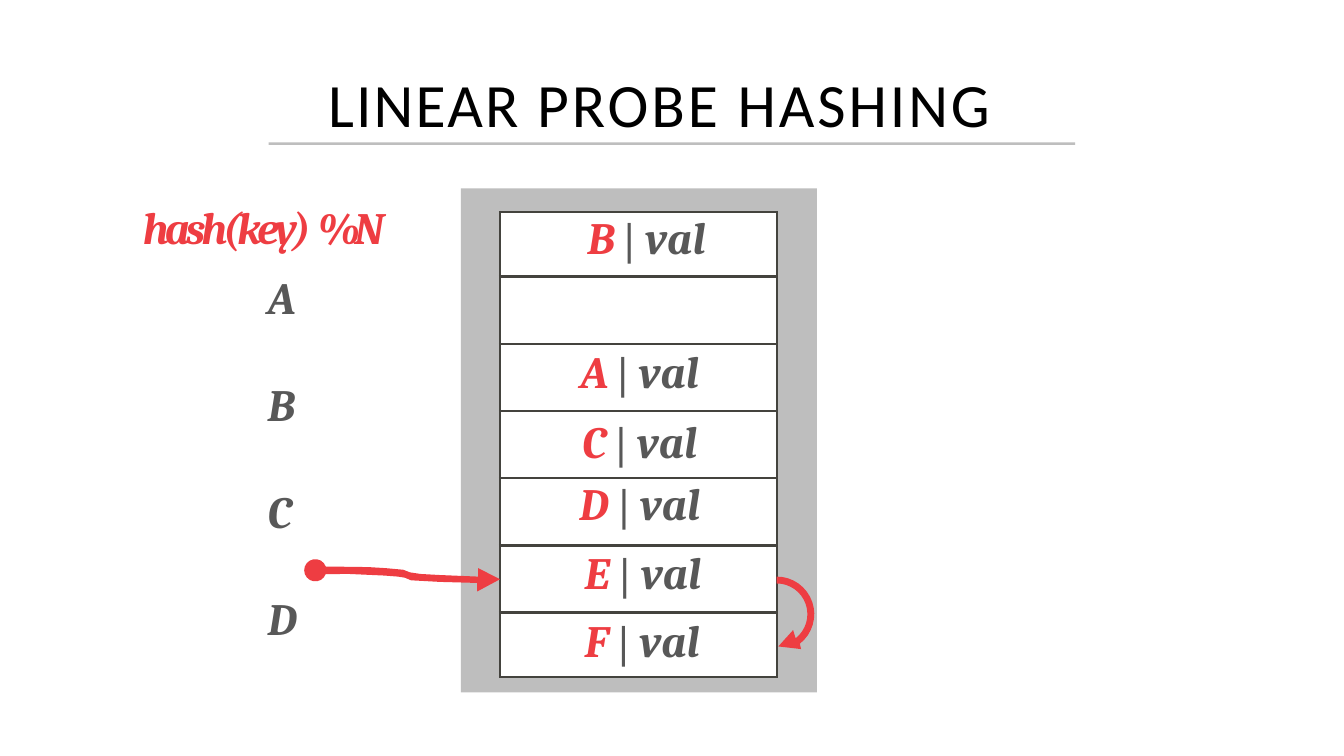
import math

from lxml import etree
from pptx import Presentation, util as u
from pptx.dml import color
from pptx.enum import shapes, text
from pptx.oxml import ns

HUE = {"red": "EE3D42", "grey": "585858", "panel": "BEBEBE",
       "edge": "44433E", "ink": "000000", "paper": "FFFFFF"}

SLOTS = [("B", 1.65, 0.03, 0.5), None, ("A", 1.52, 0.08, 2.5),
         ("C", 1.55, 0.13, 3.5), ("D", 1.5, 0.03, 0.5),
         ("E", 1.6, 0.08, 1.8), ("F", 1.6, 0.08, 1.9)]


def rgb(name):
    return color.RGBColor.from_string(HUE[name])


def paint(shape, hue):
    shape.shadow.inherit = False
    shape.fill.solid()
    shape.fill.fore_color.rgb = rgb(hue)
    shape.line.fill.background()


def block(slide, box, hue):
    shape = slide.shapes.add_shape(shapes.MSO_SHAPE.RECTANGLE, *map(u.Cm, box))
    paint(shape, hue)


def outline(slide, points, hue):
    start, *rest = [(u.Cm(x), u.Cm(y)) for x, y in points]
    pen = slide.shapes.build_freeform(*start)
    pen.add_line_segments(rest, close=True)
    paint(pen.convert_to_shape(), hue)


def arc(x, y, r, start, end, steps=16):
    turns = [math.radians(start + (end - start) * i / steps)
             for i in range(steps + 1)]
    return [(x + r * math.cos(t), y + r * math.sin(t)) for t in turns]


def style(para, size, face, hue, bold=False, slant=False):
    font = para.font
    font.size, font.name = u.Pt(size), face
    font.bold, font.italic = bold, slant
    font.color.rgb = rgb(hue)


def indent(para, left):
    para._p.get_or_add_pPr().set("marL", str(u.Cm(left)))


def spaced(para, words, gap):
    run = para.add_run()
    run.text = words
    run._r.get_or_add_rPr().set("spc", str(round(gap * 100)))


def frame(slide, box, top):
    body = slide.shapes.add_textbox(*map(u.Cm, box)).text_frame
    body.word_wrap = True
    body.margin_left = body.margin_right = body.margin_bottom = 0
    body.margin_top = u.Cm(top)
    return body


def title(slide):
    body = frame(slide, (6.17, 1.35, 12.9, 1.17), 0.03)
    body.vertical_anchor = text.MSO_ANCHOR.MIDDLE
    para = body.paragraphs[0]
    indent(para, 0.03)
    para.space_before = u.Pt(1.1)
    style(para, 33, "Calibri", "ink")
    spaced(para, "LINEAR ", 1.2)
    spaced(para, "PROBE HASHING", 1.6)


def keys(slide):
    body = frame(slide, (2.67, 3.45, 4.6, 7.75), 0.33)
    para = body.paragraphs[0]
    indent(para, 0.03)
    para.space_before = u.Pt(9.3)
    style(para, 24, "Cambria", "red", True, True)
    for words, gap in (("hash(key) ", -2.1), ("% ", -8.7), ("N", -0.1)):
        spaced(para, words, gap)
    for key in "ABCD":
        para = body.add_paragraph()
        para.text = key
        indent(para, 2.39)
        para.space_before = u.Pt(8.4 if key == "A" else 28.6)
        style(para, 24, "Cambria", "grey", True, True)


def border(cell):
    props = cell._tc.get_or_add_tcPr()
    for spot, side in enumerate(("lnL", "lnR", "lnT", "lnB")):
        line = etree.Element(ns.qn("a:" + side), w=str(u.Pt(1.5)))
        fill = etree.SubElement(line, ns.qn("a:solidFill"))
        etree.SubElement(fill, ns.qn("a:srgbClr"), val=HUE["edge"])
        props.insert(spot, line)


def entry(cell, key, left, top, before):
    cell.margin_top = u.Cm(top)
    para = cell.text_frame.paragraphs[0]
    indent(para, left)
    para.space_before = u.Pt(before)
    style(para, 24, "Cambria", "grey", True, True)
    parts = ((key + " ", "Cambria", "red", True),
             ("| ", "Times New Roman", "grey", False),
             ("val", "Cambria", "grey", True))
    for words, face, hue, slant in parts:
        run = para.add_run()
        run.text = words
        style(run, 24, face, hue, True, slant)


def slots(slide):
    box = map(u.Cm, (9.45, 4.01, 5.23, 8.79))
    table = slide.shapes.add_table(len(SLOTS), 1, *box).table
    table.first_row = table.horz_banding = False
    for i, slot in enumerate(SLOTS):
        table.rows[i].height = u.Cm(1.22 if i in (0, len(SLOTS) - 1) else 1.27)
        cell = table.cell(i, 0)
        cell.margin_left = cell.margin_right = 0
        cell.margin_top = cell.margin_bottom = 0
        cell.fill.solid()
        cell.fill.fore_color.rgb = rgb("paper")
        border(cell)
        if slot:
            entry(cell, *slot)


def probe(slide):
    dot = arc(5.96, 10.78, 0.21, 20, 340)
    upper = [(6.96, 10.72), (7.29, 10.74), (7.62, 10.77), (7.75, 10.82),
             (7.95, 10.85), (8.31, 10.87), (9.04, 10.9)]
    head = [(9.04, 10.74), (9.45, 10.95), (9.02, 11.18)]
    lower = [(9.02, 11.02), (8.31, 11), (7.77, 10.97), (7.65, 10.92),
             (7.52, 10.9), (7.26, 10.88), (6.6, 10.85)]
    outline(slide, dot + upper + head + lower, "red")


def step(slide):
    outer = arc(14.68, 11.61, 0.71, -90, 52)
    inner = arc(14.68, 11.61, 0.58, 52, -90)
    head = [(15.14, 12.27), (14.71, 12.22), (14.99, 11.91)]
    outline(slide, outer + head + inner, "red")


def main():
    deck = Presentation()
    deck.slide_width, deck.slide_height = u.Cm(25.4), u.Cm(14.29)
    slide = deck.slides.add_slide(deck.slide_layouts[6])
    block(slide, (5.08, 2.69, 15.24, 0.05), "panel")
    block(slide, (8.71, 3.56, 6.73, 9.53), "panel")
    title(slide)
    keys(slide)
    slots(slide)
    probe(slide)
    step(slide)
    deck.save("out.pptx")


main()
